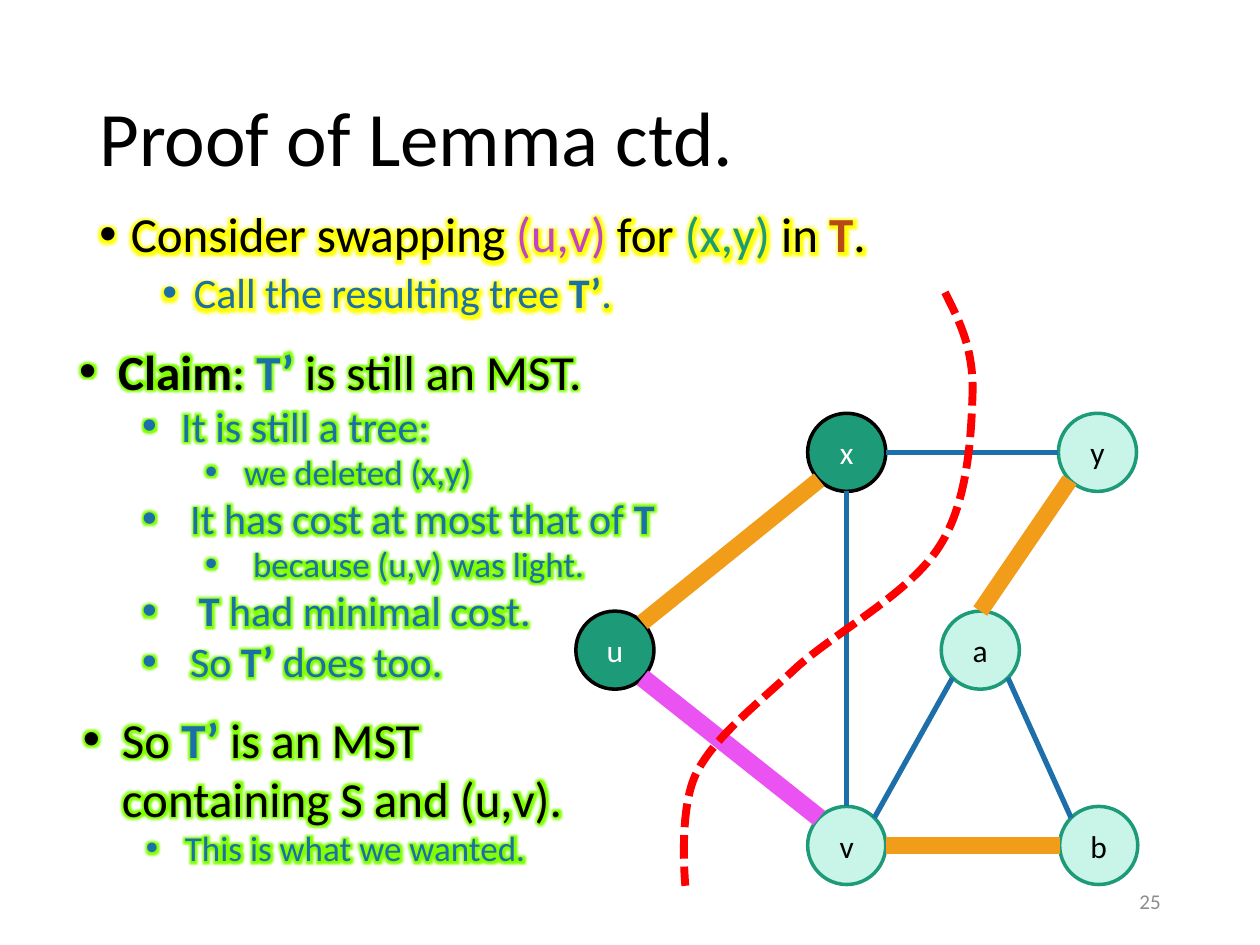
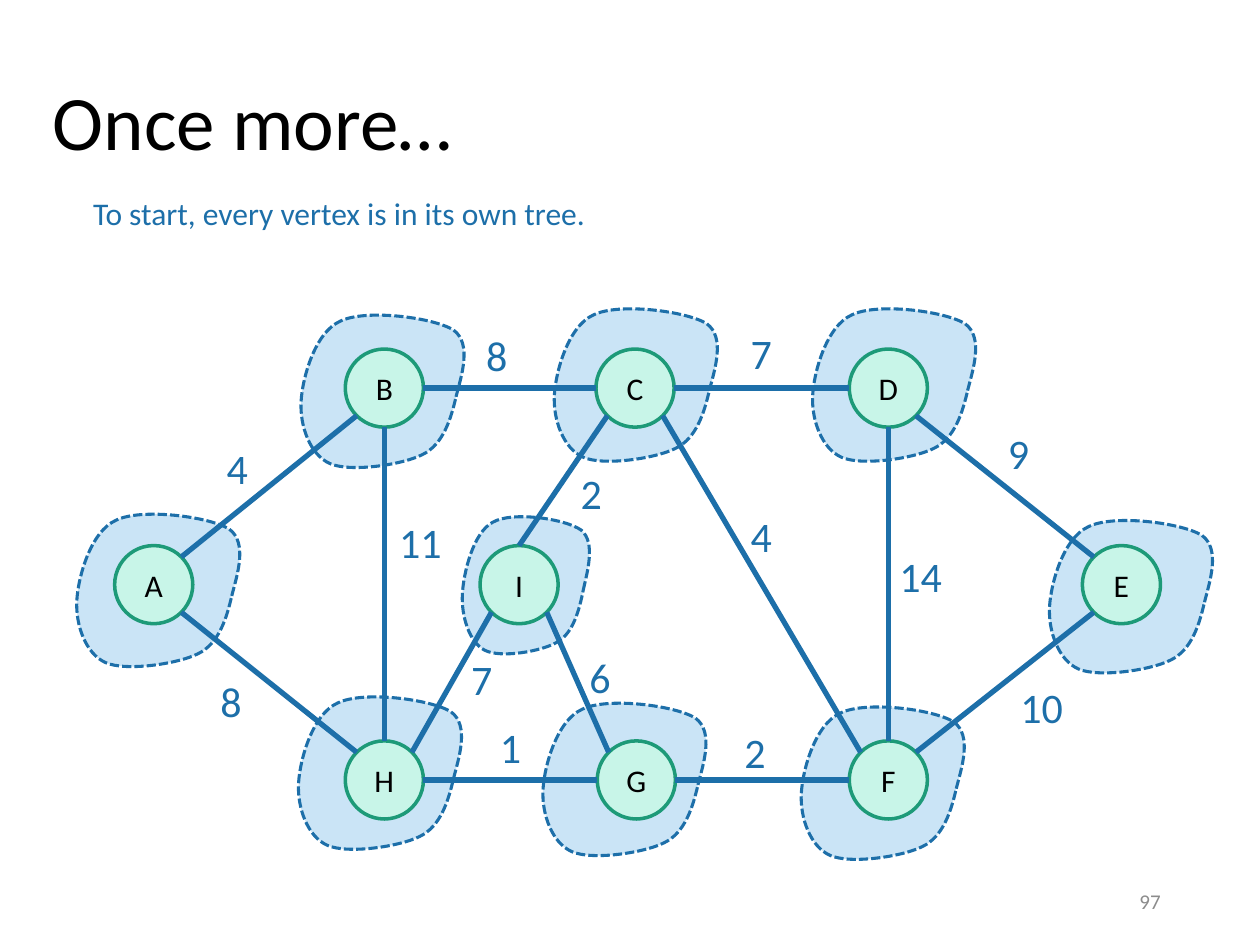
from math import cos, radians, sin
from lxml.etree import SubElement
from pptx import Presentation
from pptx.dml.color import RGBColor
from pptx.enum.dml import MSO_LINE
from pptx.enum.shapes import MSO_CONNECTOR, MSO_SHAPE
from pptx.enum.text import MSO_ANCHOR as Anchor, PP_ALIGN as Align
from pptx.oxml.ns import qn
from pptx.util import Inches, Pt

# Colours
BLACK = RGBColor(0, 0, 0)
WHITE = RGBColor(255, 255, 255)
GREY = RGBColor(0x8C, 0x8C, 0x8C)
BLUE = RGBColor(0x1D, 0x6F, 0xA9)
PALE_BLUE = RGBColor(0xCA, 0xE4, 0xF6)
GREEN = RGBColor(0x1D, 0x9A, 0x78)
MINT = RGBColor(0xC8, 0xF5, 0xE8)
ORANGE = RGBColor(0xF1, 0x9D, 0x19)
PINK = RGBColor(0xEA, 0x53, 0xF1)
PURPLE = RGBColor(0xC2, 0x44, 0xC6)
RUST = RGBColor(0xB7, 0x49, 0x19)
RED = RGBColor(255, 0, 0)
YELLOW_GLOW = RGBColor(255, 255, 0)
GREEN_GLOW = RGBColor(0x80, 0xFF, 0)

# Grid: 100 columns by 75 rows, each cell a tenth of an inch
COLUMNS = 100
NODE = 6.2
GLOW_RADIUS = Pt(8)
# The eight joining sites of a circle, counter-clockwise from the top
SITES = ["N", "NW", "W", "SW", "S", "SE", "E", "NE"]

# Tree outline: a start point, then three points for each curve
TREE_OUTLINE = [
    (12.3, 6.5),
    (12.7, 4.9), (13.6, 2.3), (12.1, 1.2),
    (10.5, 0.2), (5.1, -0.5), (3.1, 0.5),
    (1.1, 1.4), (0.1, 5), (0, 6.9),
    (-0.1, 8.8), (0.7, 11.1), (2.3, 11.8),
    (3.9, 12.5), (8, 11.9), (9.6, 11.1),
    (11.3, 10.3), (11.9, 8.2), (12.3, 6.5),
]
CUT = [
    (75, 23.2),
    (76.1, 25.4), (77.2, 27.5), (77.2, 30.9),
    (77.1, 34.3), (76.9, 39.7), (74.6, 43.3),
    (72.3, 47), (66.6, 50), (63.3, 52.9),
    (60.1, 55.9), (56.8, 58.4), (55.3, 61.3),
    (53.8, 64.2), (54.4, 70.3), (54.4, 70.3),
]


class Deck:
    """Holds the style and the current slide."""

    font = "Calibri"

    def __init__(self):
        self.presentation = Presentation()
        self.presentation.slide_width = Inches(10)
        self.presentation.slide_height = Inches(7.5)
        self.cell = self.presentation.slide_width // COLUMNS
        self.shapes = None

    def grid(self, *lengths):
        return [round(length * self.cell) for length in lengths]

    def add_slide(self, title, title_box, number):
        layout = self.presentation.slide_layouts[6]
        self.shapes = self.presentation.slides.add_slide(layout).shapes
        self.text(title_box, [dict(runs=[(title,)], size=44, line_spacing=0.9)],
                  anchor=Anchor.MIDDLE)
        self.text((70.6, 69.5, 22.5, 4),
                  [dict(runs=[(str(number), GREY)], size=12, alignment=Align.RIGHT)],
                  anchor=Anchor.MIDDLE)

    def text(self, box, paragraphs, anchor=Anchor.TOP, glow=None):
        frame = self.shapes.add_textbox(*self.grid(*box)).text_frame
        frame.word_wrap = True
        frame.vertical_anchor = anchor
        self.fill_text(frame, paragraphs, glow)

    def fill_text(self, frame, paragraphs, glow=None):
        for index, content in enumerate(paragraphs):
            paragraph = frame.paragraphs[0] if index == 0 else frame.add_paragraph()
            formats = dict(content)
            runs, size = formats.pop("runs"), formats.pop("size")
            if "bullet" in formats:
                self.bullet(paragraph, *formats.pop("bullet"))
            for name, value in formats.items():
                setattr(paragraph, name, value)
            for run in runs:
                self.run(paragraph, size, glow, *run)

    def bullet(self, paragraph, indent, hanging):
        properties = paragraph._p.get_or_add_pPr()
        left, back = self.grid(indent, -hanging)
        properties.set("marL", str(left))
        properties.set("indent", str(back))
        SubElement(properties, qn("a:buFont")).set("typeface", "Arial")
        SubElement(properties, qn("a:buChar")).set("char", "•")

    def run(self, paragraph, size, glow, words, colour=BLACK, bold=False):
        run = paragraph.add_run()
        run.text = words
        for name, value in dict(name=self.font, size=Pt(size), bold=bold).items():
            setattr(run.font, name, value)
        run.font.color.rgb = colour
        if glow is not None:
            properties = run._r.get_or_add_rPr()
            effects = SubElement(properties, qn("a:effectLst"))
            halo = SubElement(effects, qn("a:glow"), rad=str(GLOW_RADIUS))
            SubElement(halo, qn("a:srgbClr"), val=str(glow))
            properties.find(qn("a:solidFill")).addnext(effects)

    def outline(self, shape, fill, line, width, dash=None):
        shape.shadow.inherit = False
        if fill is None:
            shape.fill.background()
        else:
            shape.fill.solid()
            shape.fill.fore_color.rgb = fill
        shape.line.color.rgb = line
        shape.line.width = Pt(width)
        if dash:
            shape.line.dash_style = dash

    def node(self, label, left, top, chosen=False):
        fill, line, colour = (GREEN, BLACK, WHITE) if chosen else (MINT, GREEN, BLACK)
        circle = self.shapes.add_shape(MSO_SHAPE.OVAL, *self.grid(left, top, NODE, NODE))
        self.outline(circle, fill, line, 2)
        frame = circle.text_frame
        for side in ("left", "top", "right", "bottom"):
            setattr(frame, f"margin_{side}", 0)
        frame.vertical_anchor = Anchor.MIDDLE
        self.fill_text(frame, [dict(runs=[(label, colour)], size=18,
                                    alignment=Align.CENTER)])
        return circle

    def site_point(self, circle, site):
        angle = radians(90 + 45 * SITES.index(site))
        radius = circle.width / 2
        return (round(circle.left + radius * (1 + cos(angle))),
                round(circle.top + radius * (1 - sin(angle))))

    def edge(self, start, start_site, end, end_site, colour=BLUE, width=3):
        connector = self.shapes.add_connector(
            MSO_CONNECTOR.STRAIGHT,
            *self.site_point(start, start_site), *self.site_point(end, end_site))
        connector.line.color.rgb = colour
        connector.line.width = Pt(width)
        element = connector._element
        SubElement(element.spPr, qn("a:effectLst"))
        joins = element.find(".//" + qn("p:cNvCxnSpPr"))
        for tag, circle, site in (("a:stCxn", start, start_site),
                                  ("a:endCxn", end, end_site)):
            SubElement(joins, qn(tag), id=str(circle.shape_id),
                       idx=str(SITES.index(site)))

    def curve(self, points, closed=False, **style):
        start, *others = [self.grid(*point) for point in points]
        builder = self.shapes.build_freeform(*start, scale=1.0)
        builder.add_line_segments(others, close=closed)
        shape = builder.convert_to_shape()
        # Turn each three line ends into one cubic curve
        outline = shape._element.find(".//" + qn("a:path"))
        ends = iter(outline.findall(qn("a:lnTo")))
        for bend, *rest in zip(ends, ends, ends):
            bend.tag = qn("a:cubicBezTo")
            for end in rest:
                bend.append(end[0])
                outline.remove(end)
        self.outline(shape, dash=MSO_LINE.SQUARE_DOT, **style)

    def tree(self, left, top, wide=1, high=1):
        points = [(left + x * wide, top + y * high) for x, y in TREE_OUTLINE]
        self.curve(points, closed=True, fill=PALE_BLUE, line=BLUE, width=1.75)

    def weight(self, value, left, top):
        self.text((left, top, 8.6, 5), [dict(runs=[(str(value), BLUE)], size=24)])


def item(level, indent, hanging, size, *runs, **formats):
    return dict(level=level, bullet=(indent, hanging), size=size, runs=runs, **formats)


def proof_slide(deck):
    deck.add_slide("Proof of Lemma ctd.", (6.9, 4, 86.2, 14.5), 25)

    # Argument
    deck.text((5.3, 26.6, 51.2, 29.3), [
        item(0, 3.1, 3.1, 28, ("Claim", BLACK, True), (": ",), ("T’ ", BLUE, True),
             ("is still an MST.",)),
        item(1, 8.1, 3.1, 24, ("It is still a tree:", BLUE)),
        item(2, 13.1, 3.1, 20, ("we deleted (x,y)", BLUE)),
        item(1, 8.8, 3.8, 24, ("It has cost at most that of ", BLUE), ("T", BLUE, True)),
        item(2, 13.8, 3.8, 20, ("because (u,v) was light.", BLUE)),
        item(1, 9.5, 4.5, 24, ("T", BLUE, True), (" had minimal cost.", BLUE)),
        item(1, 8.8, 3.8, 24, ("So ", BLUE), ("T’ ", BLUE, True), ("does too.", BLUE)),
    ], glow=GREEN_GLOW)
    deck.text((6.9, 16.2, 67.9, 12.9), [
        item(0, 2.5, 2.5, 28, ("Consider swapping ",), ("(u,v) ", PURPLE), ("for ",),
             ("(x,y) ", GREEN), ("in ",), ("T", RUST, True), (".",), line_spacing=0.9),
        item(1, 7.5, 2.5, 24, ("Call the resulting tree ", BLUE), ("T’", BLUE, True),
             (".", BLUE), line_spacing=0.9, space_before=Pt(5)),
    ], glow=YELLOW_GLOW)

    # Graph
    places = dict(y=(84, 32.8), x=(64.1, 32.8, True), u=(45.7, 48.5, True),
                  v=(64.1, 64), b=(84.1, 64), a=(74.7, 48.5))
    nodes = {label: deck.node(label, *place) for label, place in places.items()}
    in_tree, light = (ORANGE, 9.5), (PINK, 10.5)
    for start, start_site, end, end_site, *style in [
        ("a", "SE", "b", "NW"),
        ("a", "N", "y", "SW", *in_tree),
        ("x", "E", "y", "W"),
        ("u", "NE", "x", "SW", *in_tree),
        ("u", "SE", "v", "NW", *light),
        ("b", "W", "v", "E", *in_tree),
        ("a", "SW", "v", "NE"),
        ("v", "N", "x", "S"),
    ]:
        deck.edge(nodes[start], start_site, nodes[end], end_site, *style)
    deck.curve(CUT, fill=None, line=RED, width=4.5)

    # Conclusion
    deck.text((5.6, 55.8, 41.7, 18.5), [
        item(0, 3.1, 3.1, 28, ("So ",), ("T’ ", BLUE, True),
             ("is an MST containing S and (u,v).",)),
        item(1, 8.1, 3.1, 20, ("This is what we wanted.", BLUE)),
    ], glow=GREEN_GLOW)


def forest_slide(deck):
    deck.add_slide("Once more…", (3.2, 0.4, 97.2, 19.1), 97)
    deck.text((6.4, 14.9, 45.4, 4),
              [dict(runs=[("To start, every vertex is in its own tree.", BLUE)], size=18)])

    # One tree around each vertex
    for tree in [(63.6, 56.1), (83.3, 41.3), (64.5, 24.5), (44, 24.5), (23.9, 25),
                 (36.7, 41, 0.78, 0.9), (43.1, 55.8), (23.7, 55.3), (6.1, 40.8)]:
        deck.tree(*tree)

    # Vertices
    top, middle, bottom = 27.7, 43.3, 58.8
    places = dict(D=(67.4, top), C=(47.3, top), B=(27.4, top), A=(9.1, middle),
                  H=(27.4, bottom), G=(47.4, bottom), F=(67.4, bottom),
                  I=(38.1, middle), E=(85.9, middle))
    nodes = {label: deck.node(label, *place) for label, place in places.items()}

    # Edges, each with its weight and the place of the weight
    for start, start_site, end, end_site, *weight in [
        ("C", "SE", "F", "NW", 4, 58.6, 40),
        ("C", "E", "D", "W", 7, 58.6, 25.5),
        ("E", "NW", "D", "SE", 9, 79, 33.4),
        ("E", "SW", "F", "NE", 10, 80, 53.6),
        ("D", "S", "F", "N", 14, 70.4, 43.2),
        ("I", "SE", "G", "NW", 6, 45.8, 51.2),
        ("G", "E", "F", "W", 2, 58.1, 57.2),
        ("I", "N", "C", "SW", 2, 45.1, 36.6),
        ("B", "E", "C", "W", 8, 37.6, 25.7),
        ("A", "NE", "B", "SW", 4, 17, 34.6),
        ("A", "SE", "H", "NW", 8, 16.5, 53.1),
        ("G", "W", "H", "E", 1, 38.7, 56.8),
        ("I", "SW", "H", "NE", 7, 36.4, 51.4),
        ("H", "N", "B", "S", 11, 30.7, 40.5),
    ]:
        deck.edge(nodes[start], start_site, nodes[end], end_site)
        deck.weight(*weight)


def main():
    deck = Deck()
    proof_slide(deck)
    forest_slide(deck)
    deck.presentation.save("out.pptx")


if __name__ == "__main__":
    main()
